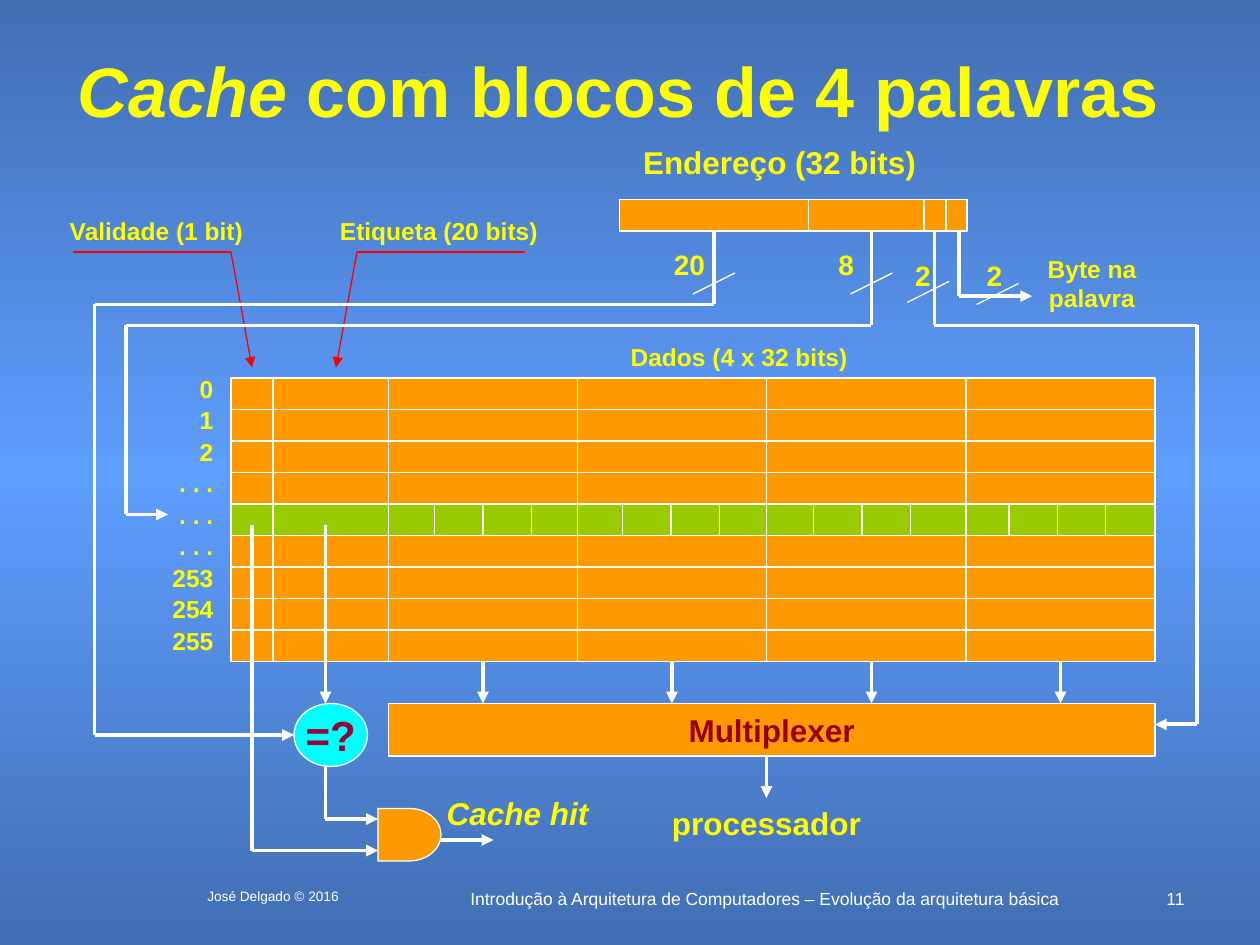
from copy import deepcopy

from lxml import etree
from pptx import Presentation
from pptx.dml.color import RGBColor
from pptx.enum.shapes import MSO_CONNECTOR as Link, MSO_SHAPE as Shape
from pptx.enum.text import MSO_ANCHOR as Anchor, PP_ALIGN as Align
from pptx.oxml.ns import qn
from pptx.util import Cm, Pt

COLORS = {
    "edge": "426EB2", "middle": "5E9EFF", "cell": "FF9900", "selected": "99CC00",
    "compare": "00FFFF", "compare_text": "990033", "mux_text": "990000",
    "label": "FFFF00", "wire": "FFFFFF", "pointer": "FF0000",
}
FONT = "Arial"


def color(name):
    """Return a named colour."""
    return RGBColor.from_string(COLORS[name])


def grid(n):
    """Convert grid steps, twelve to the inch, to a length."""
    return Cm(n * 2.54 / 12)


def write(shape, text, size, tint="label", bold=True, italic=False, align=Align.CENTER):
    """Fill a shape with one formatted paragraph."""
    tf = shape.text_frame
    tf.text = text
    p = tf.paragraphs[0]
    p.alignment = align
    for r in p.runs:
        r.font.name, r.font.size = FONT, Pt(size)
        r.font.bold, r.font.italic = bold, italic
        r.font.color.rgb = color(tint)
    return tf


def label(s, box, x, y, w, h, text, size=14, **style):
    """Add a text box at an offset within a box."""
    tb = s.shapes.add_textbox(grid(box[0] + x), grid(box[1] + y), grid(w), grid(h))
    tf = write(tb, text, size, **style)
    tf.word_wrap = True
    tf.margin_left = 0
    if style.get("align") != Align.RIGHT:
        tf.margin_right = 0
    return tf


def block(s, box, x, y, w, h, fill="cell", kind=Shape.RECTANGLE):
    """Add a filled shape with a thin white outline."""
    sp = s.shapes.add_shape(kind, grid(box[0] + x), grid(box[1] + y), grid(w), grid(h))
    sp.shadow.inherit = False
    sp.fill.solid()
    sp.fill.fore_color.rgb = color(fill)
    sp.line.color.rgb = color("wire")
    sp.line.width = Pt(0.75)
    return sp


def wire(s, box, *points, width=2.25, tint="wire", arrow=True):
    """Join points with straight connectors, with an arrow on the last."""
    ends = [(grid(box[0] + x), grid(box[1] + y)) for x, y in points]
    for start, end in zip(ends, ends[1:]):
        c = s.shapes.add_connector(Link.STRAIGHT, *start, *end)
        c.line.color.rgb = color(tint)
        c.line.width = Pt(width)
        etree.SubElement(c.element.spPr, qn("a:effectLst"))
    if arrow:
        etree.SubElement(c.element.spPr.find(qn("a:ln")), qn("a:tailEnd"), type="triangle")


def thin(s, box, *points):
    """Draw a thin line without an arrow."""
    wire(s, box, *points, width=0.75, arrow=False)


def background(s):
    """Paint a vertical gradient that is lightest in the middle."""
    fill = s.background.fill
    fill.gradient()
    fill.gradient_angle = 90
    stops = next(s.element.iter(qn("a:gsLst")))
    stops.insert(1, deepcopy(stops[0]))
    for stop, position, name in zip(fill.gradient_stops, (0, 0.5, 1), ("edge", "middle", "edge")):
        stop.position = position
        stop.color.rgb = color(name)


def title(s, box):
    """Write the heading with its first word in italics."""
    tf = label(s, box, 0, 0, *box[2:], "Cache", 40, italic=True)
    tf.vertical_anchor = Anchor.MIDDLE
    r = tf.paragraphs[0].add_run()
    r.text = " com blocos de 4 palavras"
    r.font.name, r.font.size, r.font.bold = FONT, Pt(40), True
    r.font.color.rgb = color("label")


def memory(s, box):
    """Draw the cache rows, their columns and their numbers."""
    width, height = box[2:]
    names = ["0", "1", "2", ". . .", ". . .", ". . .", "253", "254", "255"]
    step = height / len(names)
    for i, name in enumerate(names):
        block(s, box, 0, i * step, width, step, "selected" if i == 4 else "cell")
        label(s, box, -6.8, i * step - 1, 6.3, 4.1, name, align=Align.RIGHT)
    for x in (4, 15, 33, 51, 70):
        thin(s, box, (x, 0), (x, height))
    for first in (19.4, 37.3, 55.5, 74.1):
        for i in range(3):
            x = first + 4.6 * i
            thin(s, box, (x, 4 * step), (x, 5 * step))
    label(s, box, 36.9, -4, 23, 4.1, "Dados (4 x 32 bits)")


def pointers(s, box):
    """Name the validity and tag columns with red arrows."""
    label(s, box, -1.6, -4, 19, 4.1, "Validade (1 bit)")
    label(s, box, 24.2, -4, 21.2, 4.1, "Etiqueta (20 bits)")
    for points in (((0, 0), (15, 0), (17, 11)), ((43, 0), (27, 0), (25, 11))):
        wire(s, box, *points, width=0.75, tint="pointer")


def address(s, box):
    """Draw the address fields and route each to its destination."""
    width, height = box[2:]
    label(s, box, 1.1, -6, 28.3, 4.8, "Endereço (32 bits)", 18)
    block(s, box, 0, 0, width, height)
    for x in (18, 29, 31.1):
        thin(s, box, (x, 0), (x, height))
    wire(s, box, (9, 3), (9, 10), (-50, 10), (-50, 51), (-31, 51))
    wire(s, box, (24, 3), (24, 12), (-47, 12), (-47, 30), (-43, 30))
    wire(s, box, (30, 3), (30, 12), (55, 12), (55, 50), (51, 50))
    wire(s, box, (32.3, 3), (32.3, 9.2), (39.3, 9.2))
    for bits, x, y, w, slash_x, slash_y in (
        ("20", 4, 4, 5.3, 7, 9), ("8", 19.7, 4, 3.8, 22, 9),
        ("2", 27, 5, 3.8, 27.4, 9.8), ("2", 33.8, 5, 3.8, 34, 10),
    ):
        label(s, box, x, y, w, 4.4, bits, 16)
        thin(s, box, (slash_x, slash_y), (slash_x + 4, slash_y - 2))
    label(s, box, 37.6, 4.6, 14.8, 6.8, "Byte na palavra")


def hit_logic(s, box):
    """Draw the tag comparator and the gate that signals a hit."""
    wire(s, box, (7, 0), (7, 17))
    wire(s, box, (0, 0), (0, 31), (12, 31))
    wire(s, box, (7, 23), (7, 28), (12, 28))
    comparator = block(s, box, 4, 17, 7, 6, "compare", Shape.OVAL)
    tf = write(comparator, "=?", 24, "compare_text")
    tf.word_wrap = False
    block(s, box, 12, 27, 6, 5, kind=Shape.FLOWCHART_DELAY)
    wire(s, box, (18, 30), (23, 30))
    label(s, box, 17.4, 25, 15.8, 4.8, "Cache hit", 18, italic=True)


def multiplexer(s, box):
    """Draw the multiplexer with its four inputs and its output."""
    width, height = box[2:]
    write(block(s, box, 0, 0, width, height), "Multiplexer", 18, "mux_text")
    for x in (9, 27, 46, 64):
        wire(s, box, (x, -4), (x, 0))
    wire(s, box, (36, height), (36, height + 4))
    label(s, box, 25.8, 9, 20.4, 4.8, "processador", 18)


def footer(s, box):
    """Write the author, the course and the page number."""
    style = dict(tint="wire", bold=False)
    label(s, box, 0, 0, 20, 3, "José Delgado © 2016", 7.8, **style)
    label(s, box, 24, 0, 65.6, 3,
          "Introdução à Arquitetura de Computadores – Evolução da arquitetura básica", 10, **style)
    label(s, box, 93, 0, 5, 2, "11", 10, align=Align.RIGHT, **style)


def main():
    """Build the slide and save it."""
    prs = Presentation()
    prs.slide_width, prs.slide_height = Cm(25.4), Cm(19.05)
    s = prs.slides.add_slide(prs.slide_layouts[6])
    background(s)
    footer(s, (16, 84, 98, 3))
    title(s, (4.6, 4, 108.5, 9))
    memory(s, (22, 36, 88, 27))
    pointers(s, (7, 24, 43, 11))
    address(s, (59, 19, 33.1, 3))
    hit_logic(s, (24, 50, 33, 32))
    multiplexer(s, (37, 67, 73, 5))
    prs.save("out.pptx")


if __name__ == "__main__":
    main()
